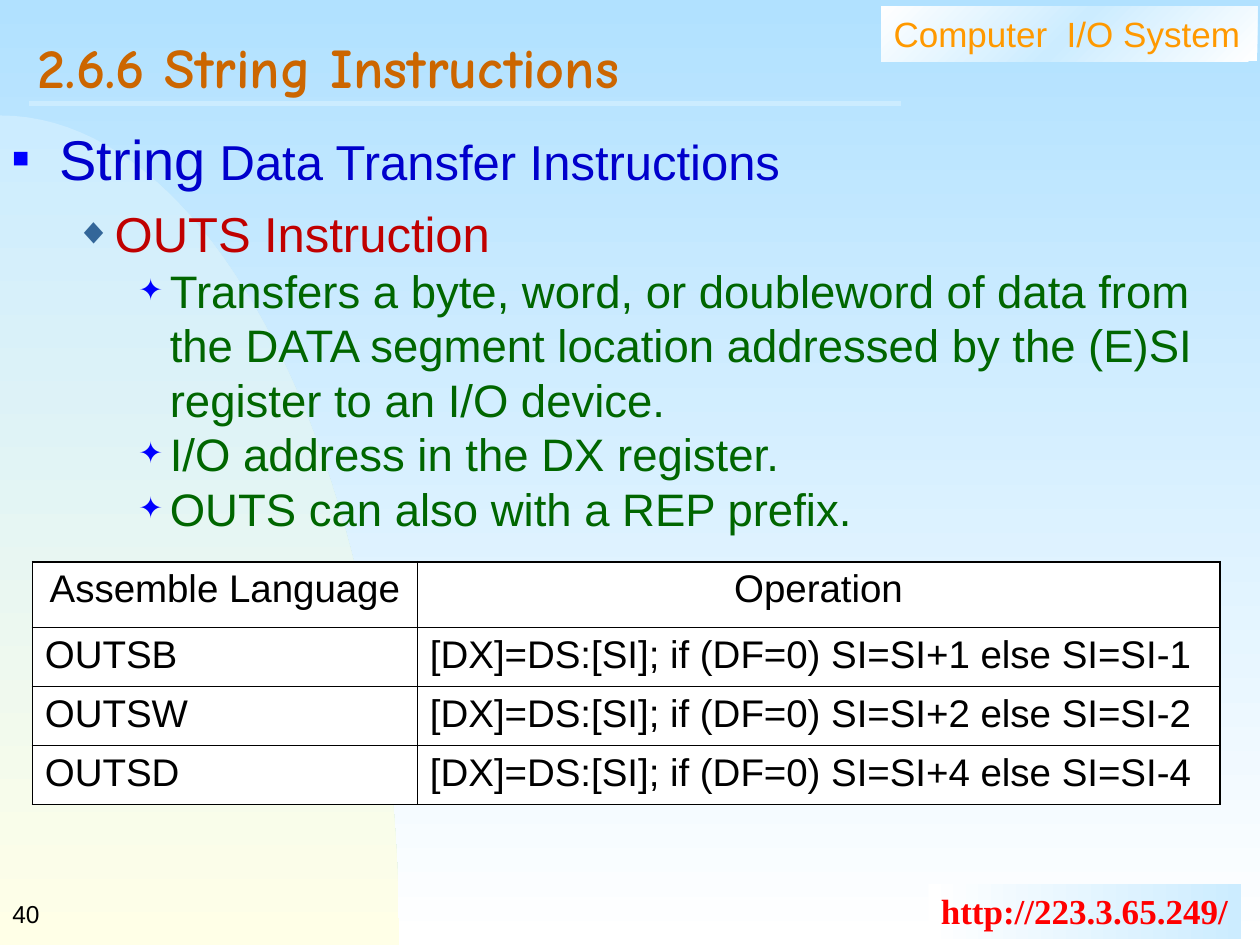
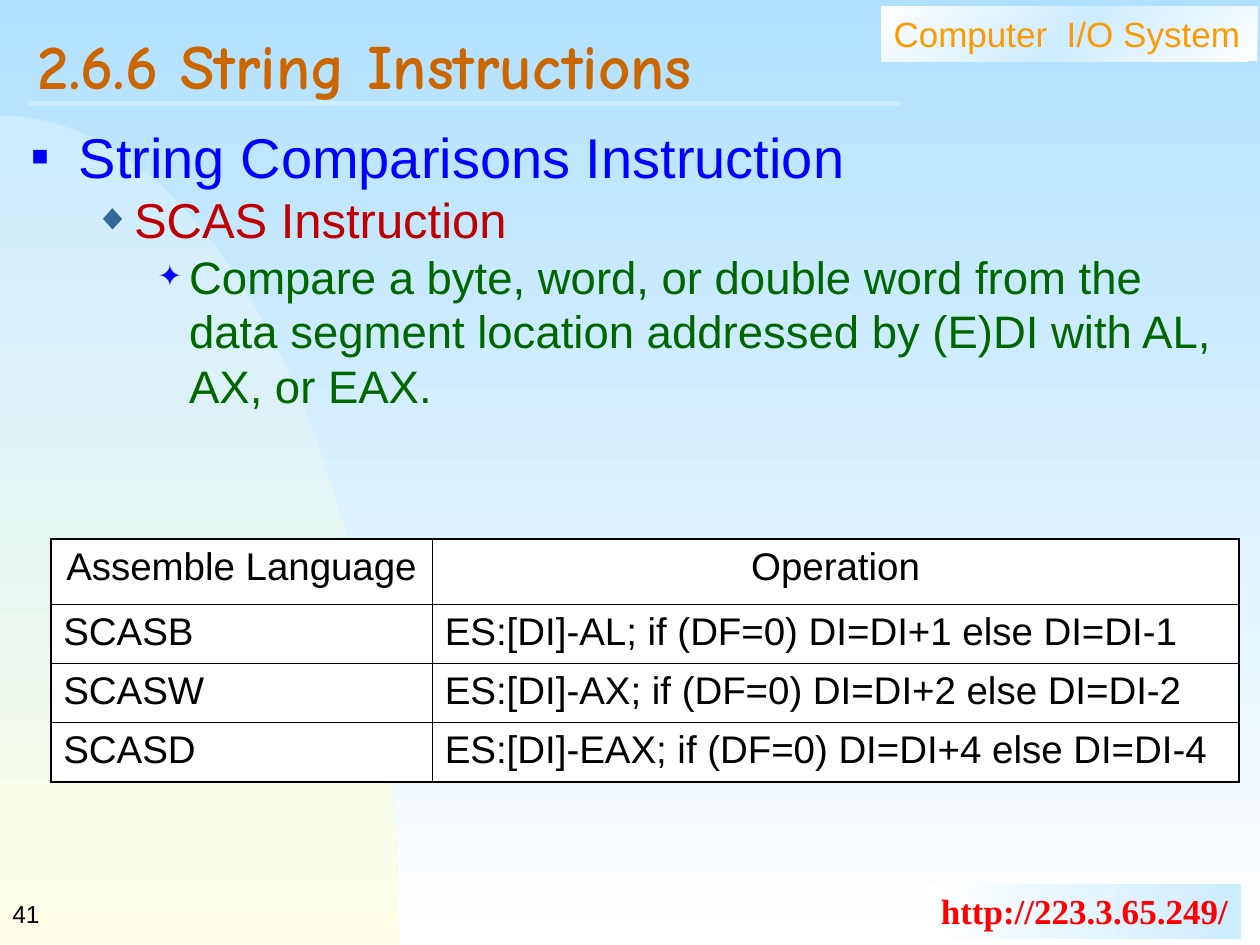
from copy import deepcopy
from lxml.etree import SubElement as Sub
from pptx import Presentation
from pptx.dml.color import RGBColor as RGB
from pptx.enum.shapes import MSO_CONNECTOR as Link, MSO_SHAPE as Kind
from pptx.enum.text import MSO_ANCHOR as Anchor, MSO_AUTO_SIZE as Auto, PP_ALIGN as Align
from pptx.oxml.ns import qn
from pptx.util import Pt

SKY = RGB(0xB1, 0xE1, 0xFF)
ICE = RGB(0xCC, 0xEC, 0xFF)
CREAM = RGB(0xFF, 0xFF, 0xE7)
WHITE = RGB(0xFF, 0xFF, 0xFF)
BLACK = RGB(0, 0, 0)
AMBER = RGB(0xFF, 0x99, 0)
RUST = RGB(0xCC, 0x66, 0)
RED = RGB(0xFF, 0, 0)
WINE = RGB(0xC0, 0, 0)
GREEN = RGB(0, 0x66, 0)
NAVY = RGB(0, 0, 0xCC)
BLUE = RGB(0, 0, 0xFF)
STEEL = RGB(0x33, 0x66, 0x99)

SANS, SERIF, COMIC = "Arial", "Times New Roman", "Comic Neue"
WIDE, HIGH = 720, 540
THIN, THICK = 0.45, 1.08
HEADS = ("Assemble Language", "Operation")
LEVELS = (
    ("■", BLUE, 50, 27, 27),
    ("◆", STEEL, 75, 58.5, 22.5),
    ("✦", BLUE, 65, 90, 18),
)


class Deck:
    def __init__(self):
        self.prs = Presentation()
        self.prs.slide_width, self.prs.slide_height = Pt(WIDE), Pt(HIGH)

    def page(self, number, title, size):
        self.slide = self.prs.slides.add_slide(self.prs.slide_layouts[5])
        self.shapes = self.slide.shapes
        self.grad(self.slide.background.fill, self.slide.element, 90, SKY, WHITE)
        self.curve()
        self.label("Computer  I/O System", (503.5, 3.5, 215, 31.5), SANS, AMBER,
                   45, WHITE, ICE, WHITE)
        link = self.label("http://223.3.65.249/", (530.5, 505, 178.5, 31.5), SERIF, RED,
                          0, WHITE, ICE)
        link.font.bold = True
        self.rule(16.5, 59.25, 515)
        self.count(number)
        self.title(title, size)

    def grad(self, fill, node, angle, *hues):
        fill.gradient()
        fill.gradient_angle = -angle % 360
        stops = node.find(".//" + qn("a:gsLst"))
        while len(stops) < len(hues):
            stops.append(deepcopy(stops[-1]))
        for i, (stop, hue) in enumerate(zip(fill.gradient_stops, hues)):
            stop.color.rgb = hue
            stop.position = i / (len(hues) - 1)

    def curve(self):
        ends = ((0, 66), (126, 66), (228, 278.5), (228, HIGH))
        steps = 48
        dots = []
        for i in range(1, steps + 1):
            t = i / steps
            parts = ((1 - t) ** 3, 3 * t * (1 - t) ** 2, 3 * t * t * (1 - t), t ** 3)
            dots.append([Pt(sum(p * e[k] for p, e in zip(parts, ends))) for k in (0, 1)])
        pen = self.shapes.build_freeform(0, Pt(66))
        pen.add_line_segments(dots + [(0, Pt(HIGH))], close=True)
        self.plain(pen.convert_to_shape(), 90, ICE, CREAM)

    def plain(self, shape, angle, *hues):
        shape.shadow.inherit = False
        shape.line.fill.background()
        self.grad(shape.fill, shape.element, angle, *hues)

    def style(self, item, face, size, hue):
        item.font.name, item.font.size = face, Pt(size)
        item.font.color.rgb = hue

    def label(self, text, box, face, hue, angle, *hues):
        shape = self.shapes.add_shape(Kind.RECTANGLE, *map(Pt, box))
        self.plain(shape, angle, *hues)
        frame = shape.text_frame
        frame.word_wrap = False
        frame.vertical_anchor = Anchor.TOP
        frame.text = text
        para = frame.paragraphs[0]
        para.alignment = Align.LEFT
        run = para.runs[0]
        self.style(run, face, 20, hue)
        return run

    def rule(self, left, top, right):
        line = self.shapes.add_connector(Link.STRAIGHT, *map(Pt, (left, top, right, top)))
        line.line.color.rgb, line.line.width = ICE, Pt(3)
        Sub(line.element.spPr, qn("a:effectLst"))

    def count(self, number):
        frame = self.shapes.add_textbox(0, Pt(504), Pt(150), Pt(36)).text_frame
        frame.vertical_anchor = Anchor.MIDDLE
        frame.word_wrap = True
        frame.text = str(number)
        self.style(frame.paragraphs[0].runs[0], SANS, 14, BLACK)

    def title(self, text, size):
        shape = self.shapes.title
        shape.left, shape.top, shape.width, shape.height = map(Pt, (14.5, 14.5, 687.5, 55.5))
        frame = shape.text_frame
        frame.text = text
        frame.auto_size = Auto.NONE
        frame.vertical_anchor = Anchor.MIDDLE
        para = frame.paragraphs[0]
        para.alignment, para.line_spacing = Align.LEFT, 0.7
        run = para.runs[0]
        self.style(run, COMIC, size, RUST)
        run.font.bold = True

    def body(self, box, gap, items):
        frame = self.shapes.add_textbox(*map(Pt, box)).text_frame
        frame.word_wrap = True
        for i, (level, *runs) in enumerate(items):
            para = frame.add_paragraph() if i else frame.paragraphs[0]
            para.level = level
            self.bullet(para, *LEVELS[level])
            para.space_before = Pt(gap if i and level < 2 else 0)
            for text, size, hue in runs:
                run = para.add_run()
                run.text = text
                self.style(run, SANS, size, hue)

    def bullet(self, para, mark, hue, scale, left, hang):
        props = para._p.get_or_add_pPr()
        props.set("marL", str(Pt(left)))
        props.set("indent", str(-Pt(hang)))
        Sub(Sub(props, qn("a:buClr")), qn("a:srgbClr"), val=str(hue))
        Sub(props, qn("a:buSzPct"), val=str(scale * 1000))
        Sub(props, qn("a:buFont"), typeface=SANS)
        Sub(props, qn("a:buChar"), char=mark)

    def table(self, left, top, cols, rows):
        rows = (HEADS, *rows)
        tall = (37.5,) + (33.75,) * (len(rows) - 1)
        box = map(Pt, (left, top, sum(cols), sum(tall)))
        grid = self.shapes.add_table(len(rows), len(cols), *box).table
        for col, width in zip(grid.columns, cols):
            col.width = Pt(width)
        for r, (row, texts) in enumerate(zip(grid.rows, rows)):
            row.height = Pt(tall[r])
            for c, text in enumerate(texts):
                cell = grid.cell(r, c)
                cell.text = text
                para = cell.text_frame.paragraphs[0]
                para.alignment = Align.LEFT if r else Align.CENTER
                self.style(para.runs[0], SANS, 22, BLACK)
                self.edges(cell, lnL=c == 0, lnR=c == len(cols) - 1,
                           lnT=r == 0, lnB=r == len(rows) - 1)
                cell.fill.solid()
                cell.fill.fore_color.rgb = WHITE

    def edges(self, cell, **sides):
        props = cell._tc.get_or_add_tcPr()
        for side, outer in sides.items():
            line = Sub(props, qn("a:" + side), w=str(Pt(THICK if outer else THIN)))
            Sub(Sub(line, qn("a:solidFill")), qn("a:srgbClr"), val=str(BLACK))


def main():
    deck = Deck()
    deck.page(40, "2.6.6 String Instructions", 32)
    deck.table(18.5, 321, (220, 458.5), [
        (f"OUTS{kind}", f"[DX]=DS:[SI]; if (DF=0) SI=SI+{step} else SI=SI-{step}")
        for kind, step in (("B", 1), ("W", 2), ("D", 4))])
    deck.body((0, 67.5, 695, 459.5), 7, [
        (0, ("String", 32, NAVY), (" Data Transfer Instructions", 28, NAVY)),
        (1, ("OUTS Instruction", 28, WINE)),
        (2, ("Transfers a byte, word, or doubleword of data from the DATA segment "
             "location addressed by the (E)SI register to an I/O device.", 26, GREEN)),
        (2, ("I/O address in the DX register.", 26, GREEN)),
        (2, ("OUTS can also with a REP prefix.", 26, GREEN))])

    deck.page(41, "2.6.6 String Instructions", 36)
    deck.body((11, 66.5, 691, 432), 0, [
        (0, ("String Comparisons Instruction", 32, BLUE)),
        (1, ("SCAS Instruction", 28, WINE)),
        (2, ("Compare a byte, word, or double word from the data segment location "
             "addressed by (E)DI with AL, AX, or EAX.", 26, GREEN))])
    deck.table(29, 308, (218, 461), [
        (f"SCAS{kind}", f"ES:[DI]-{name}; if (DF=0) DI=DI+{step} else DI=DI-{step}")
        for kind, name, step in (("B", "AL", 1), ("W", "AX", 2), ("D", "EAX", 4))])
    deck.prs.save("out.pptx")


if __name__ == "__main__":
    main()
